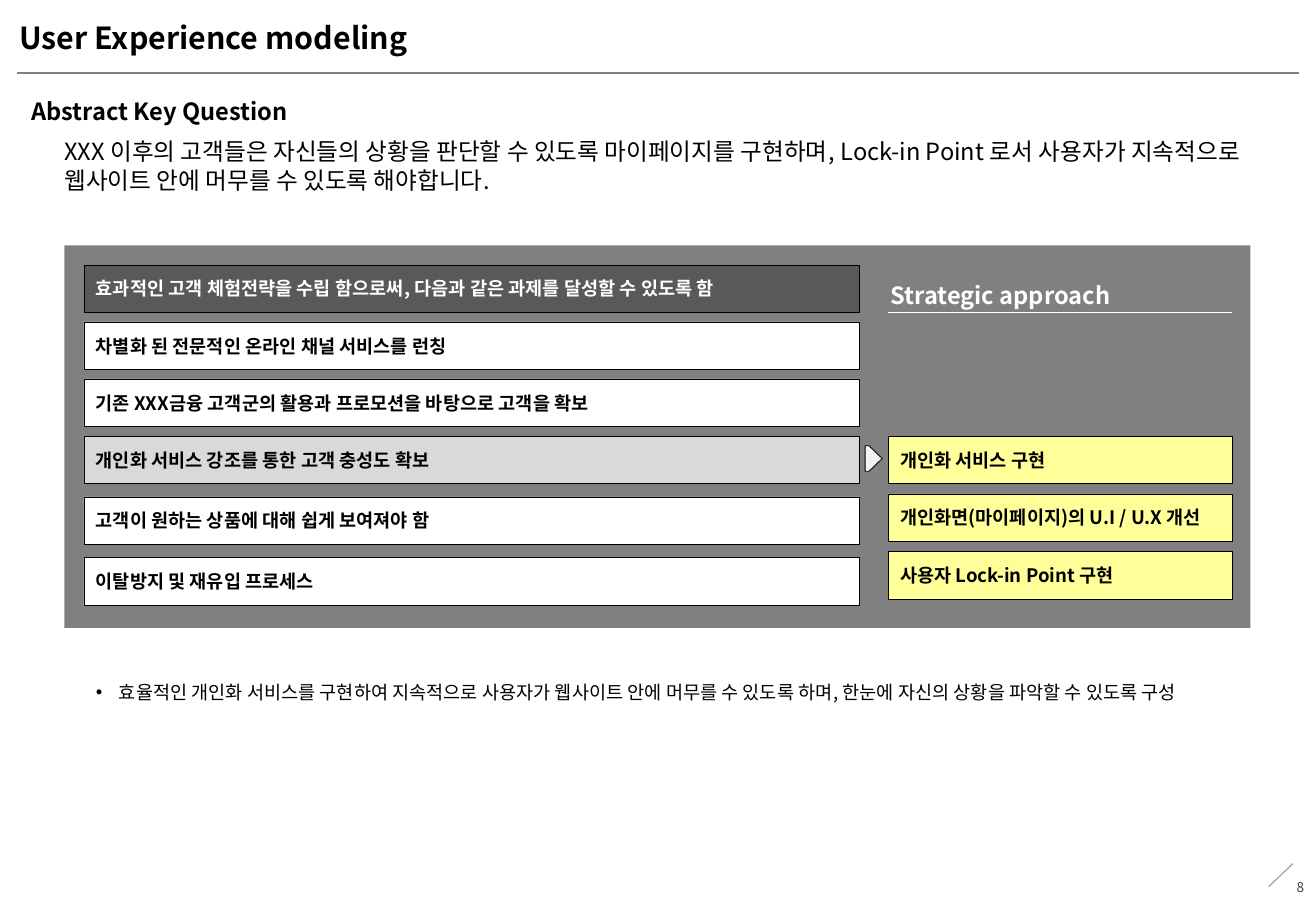
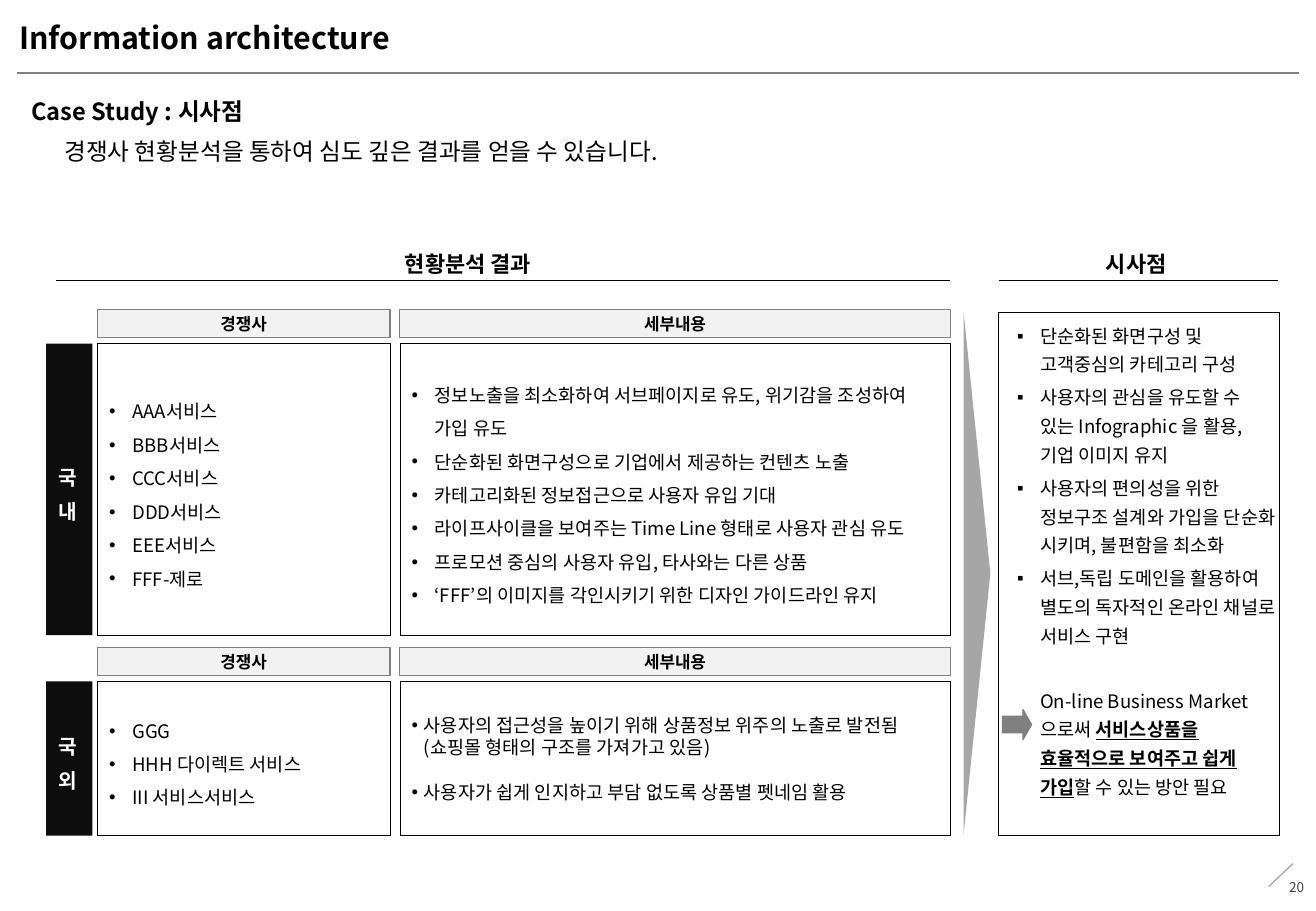
from dataclasses import dataclass, replace
from typing import NamedTuple, Optional, Sequence

from lxml import etree
from pptx import Presentation
from pptx import util as u
from pptx.dml.color import RGBColor
from pptx.enum import shapes, text
from pptx.oxml.ns import qn

FONT = "Noto Sans CJK KR"
BLACK = RGBColor(0x00, 0x00, 0x00)
WHITE = RGBColor(0xFF, 0xFF, 0xFF)
INK = RGBColor(0x0D, 0x0D, 0x0D)
CHARCOAL = RGBColor(0x40, 0x40, 0x40)
DARK = RGBColor(0x59, 0x59, 0x59)
GRAY = RGBColor(0x80, 0x80, 0x80)
SILVER = RGBColor(0xA6, 0xA6, 0xA6)
LIGHT = RGBColor(0xD9, 0xD9, 0xD9)
PALE = RGBColor(0xF2, 0xF2, 0xF2)
YELLOW = RGBColor(0xFF, 0xFF, 0x99)

SHAPE = shapes.MSO_SHAPE
MIDDLE = text.MSO_ANCHOR.MIDDLE
TOP = text.MSO_ANCHOR.TOP
CENTER = text.PP_ALIGN.CENTER


class Rect(NamedTuple):
    left: float
    top: float
    width: float
    height: float

    def inches(self) -> list:
        return [u.Inches(value) for value in self]


class Insets(NamedTuple):
    left: float = 0.1
    top: float = 0.05
    right: float = 0.1
    bottom: float = 0.05


@dataclass(frozen=True)
class Style:
    size: float
    bold: bool = False
    color: RGBColor = BLACK
    font: str = FONT
    align: text.PP_ALIGN = text.PP_ALIGN.LEFT
    spacing: object = None
    before: float = 0
    bullet: str = ""
    hang: float = 0
    margin: float = 0


class Span(NamedTuple):
    text: str
    strong: bool = False


@dataclass(frozen=True)
class Task:
    text: str
    fill: RGBColor = WHITE
    color: RGBColor = BLACK


@dataclass(frozen=True)
class Region:
    label: str
    header_top: float
    body_top: float
    height: float
    competitors: Sequence[str]
    details: Sequence[str]
    detail_style: Style


TITLE = Style(18, bold=True)
SUBTITLE = Style(14, bold=True)
LEAD = Style(14)
PAGE_NUMBER = Style(8, color=CHARCOAL, align=text.PP_ALIGN.RIGHT)
BULLET = Style(11, bullet="•", hang=0.19, margin=0.19)
LOOSE_BULLET = replace(BULLET, spacing=1.5)
TIGHT_BULLET = replace(BULLET, hang=0.1, margin=0.1, before=13.3)
INSIGHT = replace(BULLET, bullet="▪", spacing=u.Pt(17), before=2.6)
CONCLUSION = replace(INSIGHT, bullet="", hang=0, before=21.5)
BOX_LABEL = Style(11, bold=True)
COLUMN_HEAD = Style(10, bold=True, align=CENTER)
SIDE_LABEL = Style(12, bold=True, color=WHITE, spacing=1.4)
SECTION_HEAD = Style(13, bold=True, font="Arial", align=CENTER)


def format_paragraph(para, style: Style, first: bool) -> None:
    para.alignment = style.align
    if style.spacing:
        para.line_spacing = style.spacing
    if style.before and not first:
        para.space_before = u.Pt(style.before)
    props = para._p.get_or_add_pPr()
    if style.margin:
        props.set("marL", str(u.Inches(style.margin)))
        props.set("indent", str(-u.Inches(style.hang)))
    if style.bullet:
        etree.SubElement(props, qn("a:buFont")).set("typeface", "Arial")
        etree.SubElement(props, qn("a:buChar")).set("char", style.bullet)
    font = para.font
    font.size, font.bold, font.name = u.Pt(style.size), style.bold, style.font
    font.color.rgb = style.color
    latin = props.find(qn("a:defRPr")).find(qn("a:latin"))
    east_asian = etree.Element(qn("a:ea"))
    east_asian.set("typeface", FONT)
    latin.addnext(east_asian)


def write(frame, lines: Sequence[str], style: Style, insets: Insets = Insets(),
          anchor: text.MSO_ANCHOR = TOP, wrap: bool = True) -> None:
    frame.word_wrap = wrap
    frame.vertical_anchor = anchor
    frame.margin_left, frame.margin_top, frame.margin_right, frame.margin_bottom = map(u.Inches, insets)
    for index, line in enumerate(lines):
        para = frame.add_paragraph() if index else frame.paragraphs[0]
        para.text = line
        format_paragraph(para, style, index == 0)


def add_text(page, rect: Rect, lines: Sequence[str], style: Style, **layout):
    box = page.shapes.add_textbox(*rect.inches())
    write(box.text_frame, lines, style, **layout)
    return box


def add_shape(page, kind: SHAPE, rect: Rect, fill: Optional[RGBColor] = None,
              line: Optional[RGBColor] = None, weight: float = 0.25):
    shape = page.shapes.add_shape(kind, *rect.inches())
    shape.shadow.inherit = False
    if fill is None:
        shape.fill.background()
    else:
        shape.fill.solid()
        shape.fill.fore_color.rgb = fill
    if line is None:
        shape.line.fill.background()
    else:
        shape.line.color.rgb = line
        shape.line.width = u.Pt(weight)
    return shape


def add_panel(page, rect: Rect, lines: Sequence[str], style: Style, fill: RGBColor,
              line: Optional[RGBColor] = BLACK, weight: float = 0.25, insets: Insets = Insets()) -> None:
    panel = add_shape(page, SHAPE.RECTANGLE, rect, fill, line, weight)
    write(panel.text_frame, lines, style, insets, MIDDLE)


def add_line(page, x1: float, y1: float, x2: float, y2: float, color: RGBColor, weight: float = 0.75) -> None:
    line = page.shapes.add_connector(shapes.MSO_CONNECTOR.STRAIGHT, *map(u.Inches, (x1, y1, x2, y2)))
    line.line.color.rgb = color
    line.line.width = u.Pt(weight)
    etree.SubElement(line._element.spPr, qn("a:effectLst"))


def add_page(deck, number: int, title: str, subtitle: str, lead: str, lead_width: float):
    page = deck.slides.add_slide(deck.slide_layouts[6])
    add_line(page, 0.14, 0.6, 10.69, 0.6, GRAY)
    add_line(page, 10.64, 7.11, 10.44, 7.3, SILVER)
    add_text(page, Rect(10.22, 7.1, 0.61, 0.4), [str(number)], PAGE_NUMBER, anchor=MIDDLE)
    add_text(page, Rect(0.16, 0.1, 8.09, 0.42), [title], TITLE, insets=Insets(0, 0.06, 0, 0.06))
    add_text(page, Rect(0.16, 0.75, 10.54, 0.34), [subtitle], SUBTITLE)
    add_text(page, Rect(0.53, 1.08, lead_width, 0.57), [lead], LEAD, insets=Insets(left=0))
    return page


TASKS = [
    Task("효과적인 고객 체험전략을 수립 함으로써, 다음과 같은 과제를 달성할 수 있도록 함", DARK, WHITE),
    Task("차별화 된 전문적인 온라인 채널 서비스를 런칭"),
    Task("기존 XXX금융 고객군의 활용과 프로모션을 바탕으로 고객을 확보"),
    Task("개인화 서비스 강조를 통한 고객 충성도 확보", LIGHT),
    Task("고객이 원하는 상품에 대해 쉽게 보여져야 함"),
    Task("이탈방지 및 재유입 프로세스"),
]
APPROACHES = ["개인화 서비스 구현", "개인화면(마이페이지)의 U.I / U.X 개선", "사용자 Lock-in Point 구현"]
FOCUS_ROW = 3


def task_top(row: int) -> float:
    return 2.18 + 0.47 * min(row, FOCUS_ROW) + 0.5 * max(row - FOCUS_ROW, 0)


def build_modeling(deck) -> None:
    page = add_page(
        deck, 8, "User Experience modeling", "Abstract Key Question",
        "XXX 이후의 고객들은 자신들의 상황을 판단할 수 있도록 마이페이지를 구현하며, "
        "Lock-in Point 로서 사용자가 지속적으로 웹사이트 안에 머무를 수 있도록 해야합니다.", 10.16)
    add_shape(page, SHAPE.RECTANGLE, Rect(0.53, 2.02, 9.76, 3.15), GRAY)
    flat = Insets(top=0, bottom=0)
    for row, task in enumerate(TASKS):
        add_panel(page, Rect(0.69, task_top(row), 6.38, 0.39), [task.text],
                  replace(BOX_LABEL, color=task.color), task.fill, insets=flat)
    for row, approach in enumerate(APPROACHES):
        add_panel(page, Rect(7.31, task_top(FOCUS_ROW) + 0.475 * row, 2.83, 0.39),
                  [approach], BOX_LABEL, YELLOW, insets=flat)
    pointer = add_shape(page, SHAPE.PENTAGON, Rect(7.12, 3.67, 0.14, 0.21), PALE, BLACK, 0.5)
    pointer.adjustments[0] = 0.77
    add_text(page, Rect(7.23, 2.17, 2.67, 0.43), ["Strategic approach"],
             replace(SUBTITLE, color=WHITE, spacing=1.4))
    add_line(page, 7.31, 2.57, 10.14, 2.57, WHITE, 0.5)
    add_text(page, Rect(0.69, 5.56, 9.61, 0.29),
             ["효율적인 개인화 서비스를 구현하여 지속적으로 사용자가 웹사이트 안에 머무를 수 있도록 하며, "
              "한눈에 자신의 상황을 파악할 수 있도록 구성"], BULLET)


REGIONS = [
    Region("국내", 2.55, 2.83, 2.4,
           ["AAA서비스", "BBB서비스", "CCC서비스", "DDD서비스", "EEE서비스", "FFF-제로"],
           ["정보노출을 최소화하여 서브페이지로 유도, 위기감을 조성하여 가입 유도",
            "단순화된 화면구성으로 기업에서 제공하는 컨텐츠 노출",
            "카테고리화된 정보접근으로 사용자 유입 기대",
            "라이프사이클을 보여주는 Time Line 형태로 사용자 관심 유도",
            "프로모션 중심의 사용자 유입, 타사와는 다른 상품",
            "‘FFF’의 이미지를 각인시키기 위한 디자인 가이드라인 유지"], LOOSE_BULLET),
    Region("국외", 5.33, 5.61, 1.27,
           ["GGG", "HHH 다이렉트 서비스", "III 서비스서비스"],
           ["사용자의 접근성을 높이기 위해 상품정보 위주의 노출로 발전됨\n(쇼핑몰 형태의 구조를 가져가고 있음)",
            "사용자가 쉽게 인지하고 부담 없도록 상품별 펫네임 활용"], TIGHT_BULLET),
]
INSIGHTS = [
    "단순화된 화면구성 및 고객중심의 카테고리 구성",
    "사용자의 관심을 유도할 수 있는 Infographic 을 활용, 기업 이미지 유지",
    "사용자의 편의성을 위한 정보구조 설계와 가입을 단순화 시키며, 불편함을 최소화",
    "서브,독립 도메인을 활용하여 별도의 독자적인 온라인 채널로 서비스 구현",
]
CLOSING = [
    Span("On-line Business Market 으로써 "),
    Span("서비스상품을 효율적으로 보여주고 쉽게 가입", True),
    Span("할 수 있는 방안 필요"),
]


def add_region(page, region: Region) -> None:
    add_panel(page, Rect(0.38, region.body_top, 0.38, region.height), list(region.label), SIDE_LABEL, INK, None)
    columns = [
        (0.8, 2.41, "경쟁사", region.competitors, LOOSE_BULLET),
        (3.29, 4.53, "세부내용", region.details, region.detail_style),
    ]
    for left, width, head, lines, style in columns:
        add_panel(page, Rect(left, region.header_top, width, 0.23), [head], COLUMN_HEAD, PALE, GRAY, 0.75)
        add_panel(page, Rect(left, region.body_top, width, region.height), lines, style, WHITE)


def build_architecture(deck) -> None:
    page = add_page(deck, 20, "Information architecture", "Case Study : 시사점",
                    "경쟁사 현황분석을 통하여 심도 깊은 결과를 얻을 수 있습니다.", 9.76)
    for left, right, center, head in [(0.46, 7.82, 3.85, "현황분석 결과"), (8.22, 10.52, 9.35, "시사점")]:
        add_line(page, left, 2.31, right, 2.31, BLACK)
        add_text(page, Rect(center - 0.62, 2.02, 1.24, 0.3), [head], SECTION_HEAD,
                 insets=Insets(0.04, 0.04, 0.04, 0.04), anchor=MIDDLE, wrap=False)
    for region in REGIONS:
        add_region(page, region)
    wedge = add_shape(page, SHAPE.FLOWCHART_MERGE, Rect(5.89, 4.61, 4.3, 0.22), SILVER)
    wedge.rotation = 270
    add_shape(page, SHAPE.RECTANGLE, Rect(8.22, 2.57, 2.31, 4.31), line=BLACK, weight=0.75)
    box = add_text(page, Rect(8.28, 2.57, 2.26, 4.3), INSIGHTS, INSIGHT,
                   insets=Insets(0.09, 0.05, 0.04, 0.05))
    para = box.text_frame.add_paragraph()
    format_paragraph(para, CONCLUSION, False)
    for part in CLOSING:
        span = para.add_run()
        span.text = part.text
        if part.strong:
            span.font.bold = span.font.underline = True
    arrow = add_shape(page, SHAPE.RIGHT_ARROW, Rect(8.25, 5.84, 0.24, 0.25), GRAY, GRAY, 0.75)
    arrow.adjustments[0], arrow.adjustments[1] = 0.54, 0.3


def main() -> None:
    deck = Presentation()
    deck.slide_width, deck.slide_height = u.Inches(10.83), u.Inches(7.5)
    build_modeling(deck)
    build_architecture(deck)
    deck.save("out.pptx")


if __name__ == "__main__":
    main()
